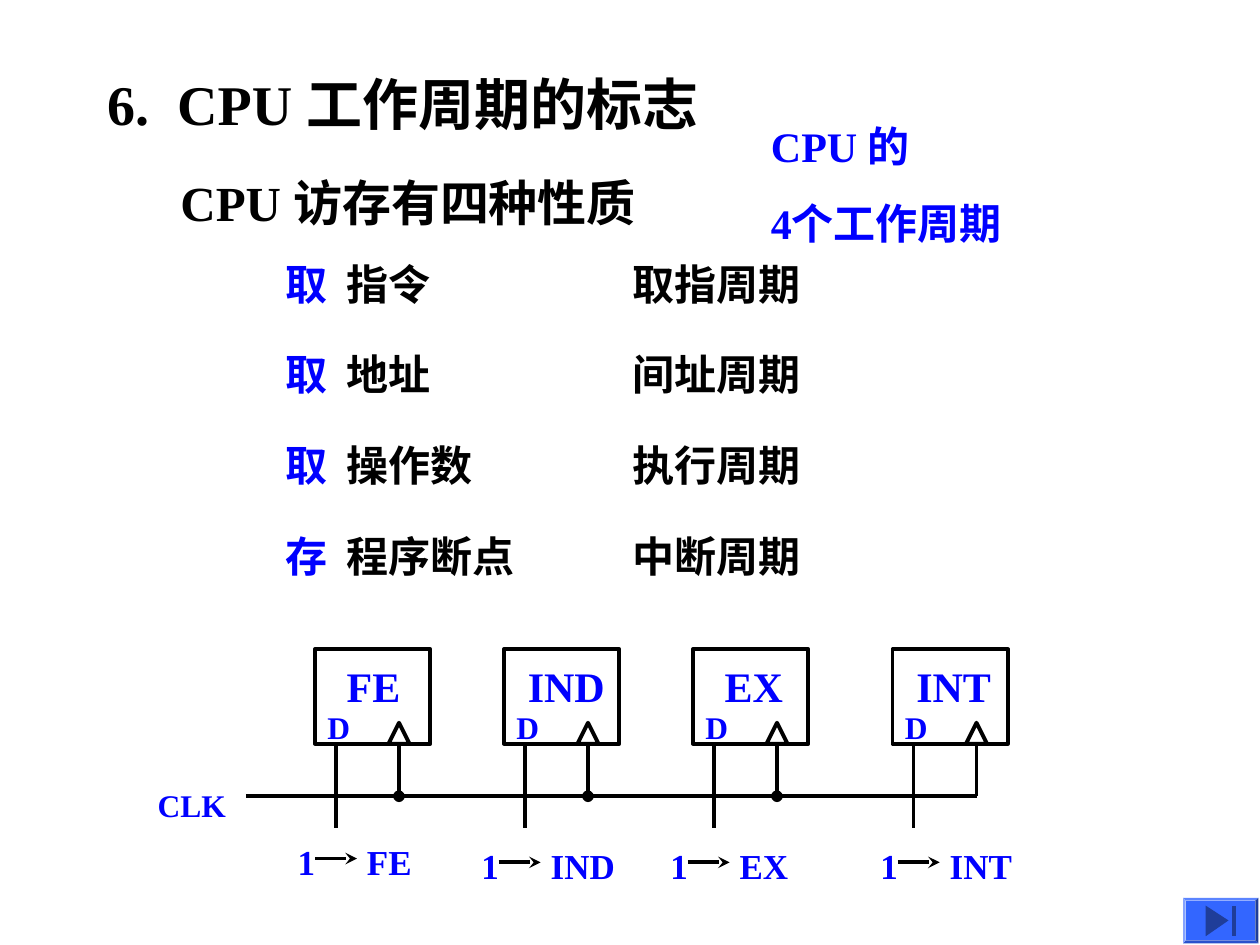
"""Build the slide on CPU work-cycle flags with its flip-flop diagram."""
from collections import namedtuple

from lxml import etree
from pptx import Presentation
from pptx.dml.color import RGBColor
from pptx.enum.shapes import MSO_CONNECTOR, MSO_SHAPE
from pptx.enum.text import MSO_ANCHOR, MSO_AUTO_SIZE, PP_ALIGN
from pptx.oxml.ns import qn
from pptx.util import Pt

RECTANGLE = MSO_SHAPE.RECTANGLE
TRIANGLE = MSO_SHAPE.ISOSCELES_TRIANGLE
BEVEL = MSO_SHAPE.BEVEL
STRAIGHT = MSO_CONNECTOR.STRAIGHT
TOP = MSO_ANCHOR.TOP
LEFT = PP_ALIGN.LEFT
NO_AUTOFIT = MSO_AUTO_SIZE.NONE

FONT = "Times New Roman"
COLORS = {"ink": "000000", "accent": "0000FF", "button": "3366FF", "glyph": "1F3D99"}
LINE_WIDTH = 2.25
TWO_CONTENT_LAYOUT = 3
CELL_TOP, CELL_BOTTOM, CLOCK_Y, INPUT_END = 371, 425, 455, 473

FlipFlop = namedtuple("FlipFlop", "name left label_shift signal_left signal_top")
FLIP_FLOPS = [
    FlipFlop("FE", 180, 11, 163, 476.6),
    FlipFlop("IND", 288, 6.5, 268, 478.8),
    FlipFlop("EX", 396, 11, 376, 478.8),
    FlipFlop("INT", 510, 6.5, 496, 478.8),
]
ACCESSES = "取  指令\n取  地址\n取  操作数\n存  程序断点"
CYCLES = "取指周期\n间址周期\n执行周期\n中断周期"


def rgb(name):
    return RGBColor.from_string(COLORS[name])


def write_text(box, text, size=24, color="ink", lead=0, gap=0, wrap=True):
    """Fill a box; the first `lead` characters of each line get the accent colour."""
    frame = box.text_frame
    frame.auto_size = NO_AUTOFIT
    frame.word_wrap = wrap
    frame.vertical_anchor = TOP
    for index, line in enumerate(text.split("\n")):
        para = frame.add_paragraph() if index else frame.paragraphs[0]
        props = para._p.get_or_add_pPr()
        props.set("marL", "0")
        props.set("indent", "0")
        etree.SubElement(props, qn("a:buNone"))
        para.alignment = LEFT
        para.space_before = Pt(gap if index else 0)
        for part, tone in ((line[:lead], "accent"), (line[lead:], color)):
            if part:
                span = para.add_run()
                span.text = part
                span.font.name = FONT
                span.font.size = Pt(size)
                span.font.bold = True
                span.font.color.rgb = rgb(tone)


def fill_placeholder(box, text, left, top, width, height, **style):
    box.left, box.top, box.width, box.height = map(Pt, (left, top, width, height))
    write_text(box, text, **style)


def add_text(page, text, left, top, width, height, **style):
    box = page.shapes.add_textbox(*map(Pt, (left, top, width, height)))
    write_text(box, text, **style)


def add_label(page, text, left, top, size):
    width = len(text) * size * 0.72 + 14.4
    add_text(page, text, left, top, width, size * 1.2 + 7.2,
             size=size, color="accent", wrap=False)


def add_outline(page, kind, left, top, width, height):
    shape = page.shapes.add_shape(kind, *map(Pt, (left, top, width, height)))
    shape.shadow.inherit = False
    shape.fill.background()
    shape.line.color.rgb = rgb("ink")
    shape.line.width = Pt(LINE_WIDTH)


def add_wire(page, x1, y1, x2, y2, end=None):
    wire = page.shapes.add_connector(STRAIGHT, *map(Pt, (x1, y1, x2, y2)))
    wire.line.color.rgb = rgb("ink")
    wire.line.width = Pt(LINE_WIDTH)
    props = wire._element.spPr
    if end:
        etree.SubElement(props.find(qn("a:ln")), qn("a:tailEnd"), type=end)
    etree.SubElement(props, qn("a:effectLst"))


def paint(shape, color):
    shape.shadow.inherit = False
    shape.fill.solid()
    shape.fill.fore_color.rgb = rgb(color)
    shape.line.fill.background()


def add_glyph(page, points):
    start, *rest = [(Pt(x), Pt(y)) for x, y in points]
    builder = page.shapes.build_freeform(*start)
    builder.add_line_segments(rest, close=True)
    paint(builder.convert_to_shape(), "glyph")


def add_flip_flop(page, cell, clock_end):
    add_label(page, cell.name, cell.left + cell.label_shift, 373.7, 24)
    add_outline(page, RECTANGLE, cell.left, CELL_TOP, 66, CELL_BOTTOM - CELL_TOP)
    add_label(page, "D", cell.left, 401, 18)
    add_outline(page, TRIANGLE, cell.left + 42, CELL_BOTTOM - 12, 12, 12)
    add_wire(page, cell.left + 12, CELL_BOTTOM, cell.left + 12, INPUT_END)
    add_wire(page, cell.left + 48, CELL_BOTTOM, cell.left + 48, CLOCK_Y, clock_end)


def add_signal(page, cell):
    left, top = cell.signal_left, cell.signal_top
    add_wire(page, left + 17, top + 14, left + 41, top + 14, "stealth")
    add_label(page, "1", left, top, 20)
    add_label(page, cell.name, left + 39.6, top, 20)


def add_end_button(page):
    button = page.shapes.add_shape(BEVEL, *map(Pt, (676, 513, 43, 26)))
    button.adjustments[0] = 0.06
    paint(button, "button")
    add_glyph(page, [(702, 526), (689, 535), (689, 517.5)])
    add_glyph(page, [(704, 517.5), (704, 535), (706.3, 535), (706.3, 517.5)])


def main():
    deck = Presentation()
    deck.slide_width, deck.slide_height = Pt(720), Pt(540)
    page = deck.slides.add_slide(deck.slide_layouts[TWO_CONTENT_LAYOUT])
    title, accesses, cycles = list(page.placeholders)[:3]
    fill_placeholder(title, "6.  CPU 工作周期的标志", 54, 36, 450, 46, size=32)
    fill_placeholder(accesses, ACCESSES, 156, 144, 174, 192, lead=1, gap=23)
    fill_placeholder(cycles, CYCLES, 354, 144, 174, 192, gap=23)
    add_text(page, "CPU 访存有四种性质", 96, 95, 420, 41, size=28)
    add_text(page, "CPU 的\n4个工作周期", 433.5, 65.5, 246, 80, color="accent", gap=15)

    for cell in FLIP_FLOPS:
        add_flip_flop(page, cell, None if cell is FLIP_FLOPS[-1] else "oval")
        add_signal(page, cell)
    add_wire(page, 140.5, CLOCK_Y, FLIP_FLOPS[-1].left + 48, CLOCK_Y)
    add_label(page, "CLK", 83, 445.7, 18)
    add_end_button(page)
    deck.save("out.pptx")


if __name__ == "__main__":
    main()
